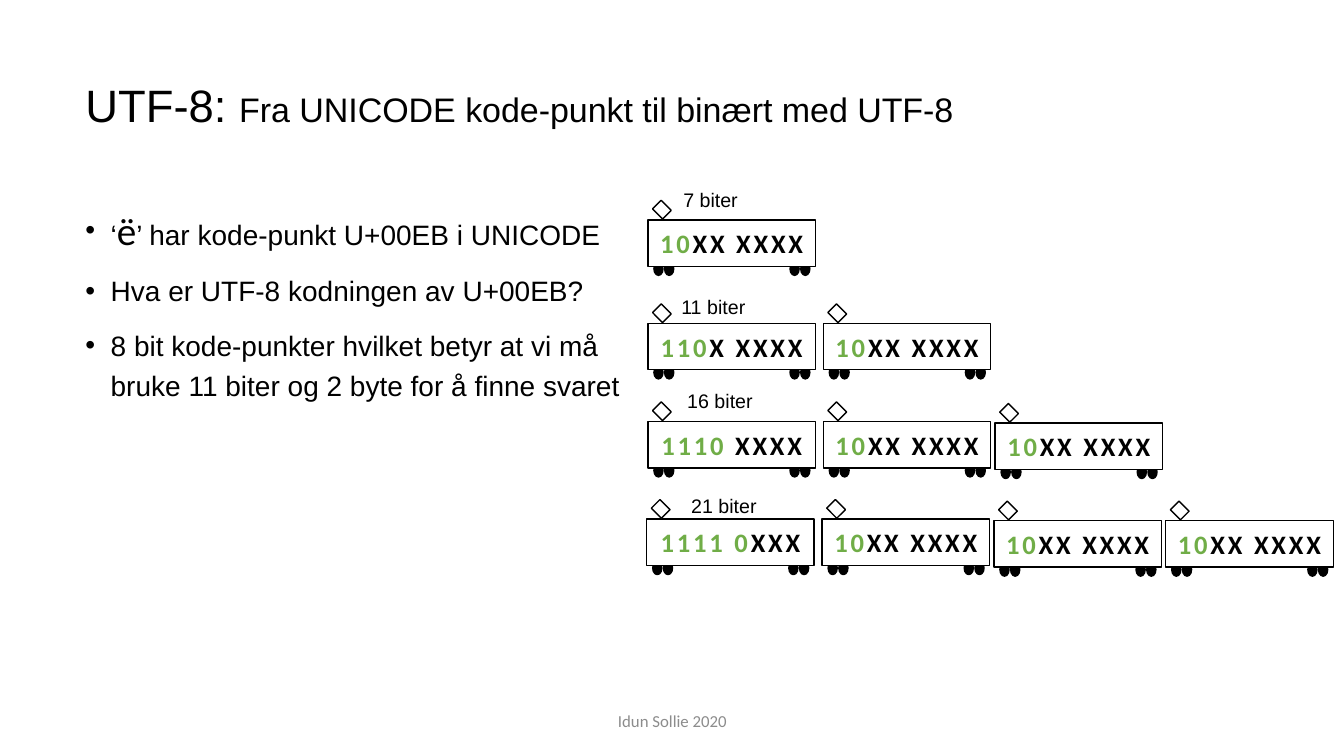
"""Build the slide on UTF-8 bytes shown as rows of train wagons."""
from dataclasses import dataclass

from lxml import etree
from pptx import Presentation
from pptx import util as u
from pptx.dml.color import RGBColor
from pptx.enum import shapes, text
from pptx.oxml import ns

BLACK = RGBColor(0x00, 0x00, 0x00)
WHITE = RGBColor(0xFF, 0xFF, 0xFF)
GREEN = RGBColor(0x70, 0xAD, 0x47)
GREY = RGBColor(0x8C, 0x8C, 0x8C)
KIND = shapes.MSO_SHAPE
TAIL = ("10", "XX XXXX")
STEPS = (0, 4.42, 8.75, 13.08)
DROPS = (0, 0, 0.04, 0.04)
WHEELS = (0.15, 0.42, 3.58, 3.85)


@dataclass
class Run:
    words: str
    size: float
    font: str = "Arial"
    color: RGBColor = BLACK
    bold: bool = False
    gap: int = 0


@dataclass
class Train:
    left: float
    top: float
    head: tuple[str, str]
    count: int
    label: str
    label_x: float
    label_y: float


TRAINS = (
    Train(16.33, 5.54, TAIL, 1, "7 biter", 16.97, 4.67),
    Train(16.33, 8.15, ("110", "X XXXX"), 2, "11 biter", 16.92, 7.37),
    Train(16.33, 10.62, ("1110", " XXXX"), 3, "16 biter", 17.07, 9.73),
    Train(16.3, 13.08, ("1111 0", "XXX"), 4, "21 biter", 17.17, 12.4),
)
POINTS = (
    (Run("‘", 20), Run("ë", 28, "Calibri"),
     Run("’ har kode-punkt U+00EB i UNICODE", 20)),
    (Run("Hva er UTF-8 kodningen av U+00EB?", 20),),
    (Run("8 bit kode-punkter hvilket betyr at vi må bruke 11 biter "
         "og 2 byte for å finne svaret", 20),),
)


def write(para, runs) -> None:
    """Add styled runs to a paragraph."""
    for item in runs:
        run = para.add_run()
        run.text = item.words
        font = run.font
        font.size, font.name, font.bold = u.Pt(item.size), item.font, item.bold
        font.color.rgb = item.color
        if item.gap:
            font._element.set("spc", str(item.gap))


def space(para, lines: float) -> None:
    """Set line spacing and the gap above a paragraph."""
    para.line_spacing, para.space_before = lines, u.Pt(10)


def dot(para) -> None:
    """Give a paragraph a hanging bullet."""
    props = para._p.get_or_add_pPr()
    props.set("marL", str(u.Cm(0.64)))
    props.set("indent", str(-u.Cm(0.64)))
    font = etree.SubElement(props, ns.qn("a:buFont"))
    font.set("typeface", "Arial")
    etree.SubElement(props, ns.qn("a:buChar")).set("char", "•")


def box(slide, x: float, y: float, w: float, h: float):
    """Add a wrapping text box and return its frame."""
    frame = slide.shapes.add_textbox(u.Cm(x), u.Cm(y), u.Cm(w), u.Cm(h)).text_frame
    frame.word_wrap = True
    return frame


def part(group, kind, x: float, y: float, w: float, h: float, fill: RGBColor):
    """Add one outlined wagon part."""
    shape = group.shapes.add_shape(kind, u.Cm(x), u.Cm(y), u.Cm(w), u.Cm(h))
    shape.shadow.inherit = False
    shape.fill.solid()
    shape.fill.fore_color.rgb = fill
    shape.line.color.rgb = BLACK
    shape.line.width = u.Pt(1)
    return shape


def wagon(slide, x: float, y: float, bits: tuple[str, str]) -> None:
    """Draw a wagon that carries one byte."""
    group = slide.shapes.add_group_shape()
    for step in WHEELS:
        part(group, KIND.OVAL, x + step, y + 1.07, 0.23, 0.33, BLACK)
    frame = part(group, KIND.RECTANGLE, x, y, 4.22, 1.17, WHITE).text_frame
    frame.word_wrap = False
    frame.vertical_anchor = text.MSO_ANCHOR.MIDDLE
    para = frame.paragraphs[0]
    para.alignment = text.PP_ALIGN.CENTER
    write(para, [Run(words, 19, "Calibri", color, True, 200)
                 for words, color in zip(bits, (GREEN, BLACK))])
    part(group, KIND.RECTANGLE, x + 0.17, y - 0.41, 0.36, 0.31, WHITE).rotation = 45


def heading(slide) -> None:
    """Place and fill the title."""
    title = slide.shapes.title
    title.left, title.top = u.Cm(1.9), u.Cm(1.96)
    title.width, title.height = u.Cm(30.6), u.Cm(2.72)
    frame = title.text_frame
    frame.auto_size = text.MSO_AUTO_SIZE.NONE
    frame.vertical_anchor = text.MSO_ANCHOR.TOP
    para = frame.paragraphs[0]
    para.alignment, para.line_spacing = text.PP_ALIGN.LEFT, 0.9
    write(para, (Run("UTF-8: ", 32.4),
                 Run("Fra UNICODE kode-punkt til binært med UTF-8", 24.3)))


def body(slide) -> None:
    """Write the bullet points."""
    frame = box(slide, 1.9, 4.83, 15.04, 10.67)
    for spot, runs in enumerate(POINTS):
        para = frame.add_paragraph() if spot else frame.paragraphs[0]
        space(para, 1.2)
        dot(para)
        write(para, runs)


def footer(slide) -> None:
    """Write the centred footer."""
    frame = box(slide, 11.23, 17.65, 11.43, 1.02)
    frame.vertical_anchor = text.MSO_ANCHOR.MIDDLE
    frame.paragraphs[0].alignment = text.PP_ALIGN.CENTER
    write(frame.paragraphs[0], [Run("Idun Sollie 2020", 12, "Calibri", GREY)])


def main() -> None:
    """Build and save the deck."""
    deck = Presentation()
    deck.slide_width, deck.slide_height = u.Cm(33.87), u.Cm(19.05)
    slide = deck.slides.add_slide(deck.slide_layouts.get_by_name("Title Only"))
    footer(slide)
    heading(slide)
    body(slide)
    for train in TRAINS:
        loads = (train.head,) + (TAIL,) * (train.count - 1)
        for bits, step, drop in zip(loads, STEPS, DROPS):
            wagon(slide, train.left + step, train.top + drop, bits)
    for train in TRAINS:
        para = box(slide, train.label_x, train.label_y, 3.84, 0.79).paragraphs[0]
        space(para, 0.9)
        write(para, [Run(train.label, 14)])
    deck.save("out.pptx")


main()
